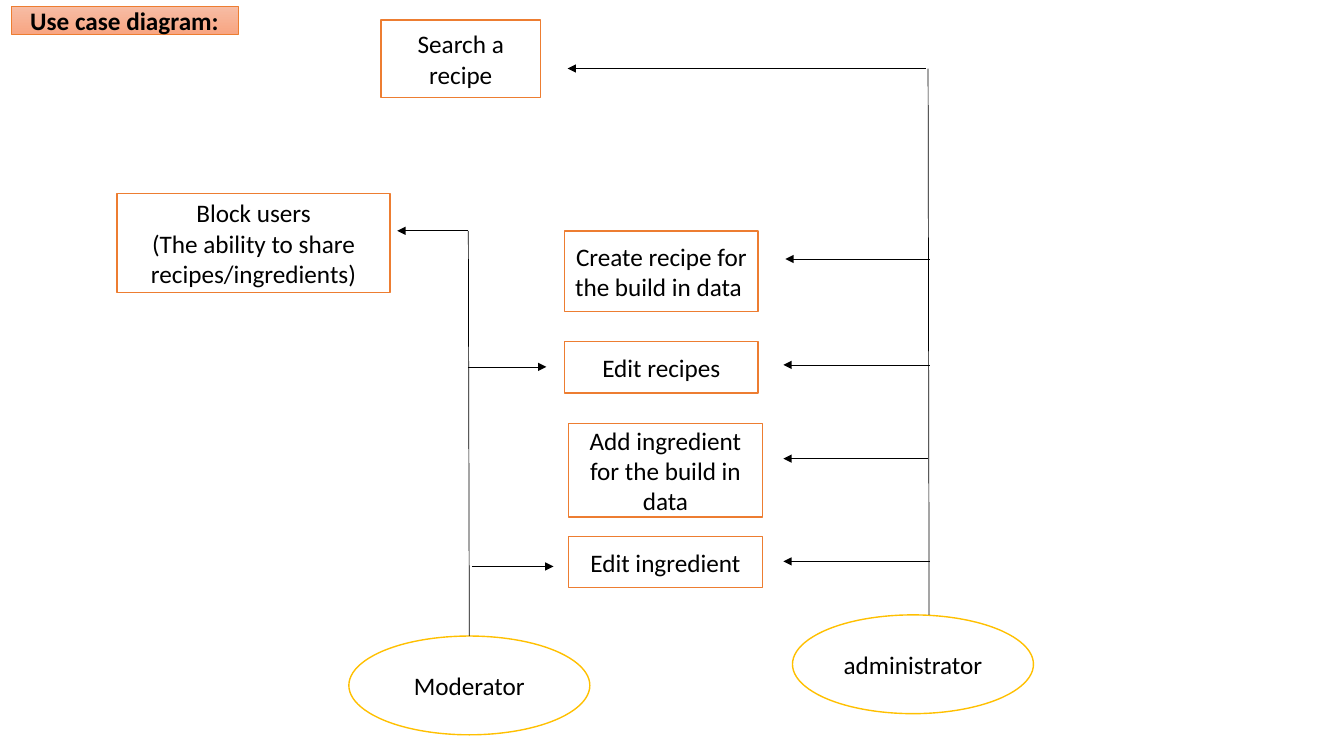
from lxml import etree
from pptx import Presentation
from pptx.dml.color import RGBColor
from pptx.enum.shapes import MSO_CONNECTOR as Line, MSO_SHAPE as Preset
from pptx.enum.text import MSO_ANCHOR as Anchor, MSO_AUTO_SIZE as AutoSize, PP_ALIGN as Align
from pptx.oxml.ns import qn
from pptx.util import Inches, Pt

BLACK = RGBColor(0x00, 0x00, 0x00)
WHITE = RGBColor(0xFF, 0xFF, 0xFF)
ORANGE = RGBColor(0xED, 0x7D, 0x31)
GOLD = RGBColor(0xFF, 0xC0, 0x00)
PEACH = RGBColor(0xF7, 0xBD, 0xA5)
SALMON = RGBColor(0xF8, 0xA5, 0x82)

FRAME_FORMAT = {"word_wrap": True, "auto_size": AutoSize.NONE,
                "vertical_anchor": Anchor.MIDDLE}
FONT_FORMAT = {"name": "Calibri", "size": Pt(18), "bold": False}


def apply_format(target, values):
    for name, value in values.items():
        setattr(target, name, value)


def write_text(shape, text, **font_changes):
    frame = shape.text_frame
    apply_format(frame, FRAME_FORMAT)
    para = frame.paragraphs[0]
    para.text = text
    para.alignment = Align.CENTER
    for span in para.runs:
        apply_format(span.font, FONT_FORMAT | font_changes)
        span.font.color.rgb = BLACK


def set_outline(shape, color, width):
    shape.line.color.rgb = color
    shape.line.width = Pt(width)


def add_node(page, preset, box, text, color):
    node = page.shapes.add_shape(preset, *map(Inches, box))
    node.shadow.inherit = False
    node.fill.solid()
    node.fill.fore_color.rgb = WHITE
    set_outline(node, color, 1)
    write_text(node, text)
    return node


def add_line(page, start, end, arrow=False):
    line = page.shapes.add_connector(Line.STRAIGHT, *map(Inches, (*start, *end)))
    set_outline(line, BLACK, 0.5)
    if arrow:
        outline = line.line._get_or_add_ln()
        etree.SubElement(outline, qn("a:tailEnd"), type="triangle")
    etree.SubElement(line._element.spPr, qn("a:effectLst"))
    return line


def add_heading(page, box):
    title = page.shapes.title
    edges = dict(zip(("left", "top", "width", "height"), map(Inches, box)))
    apply_format(title, edges)
    title.fill.gradient()
    title.fill.gradient_angle = 270
    for stop, color in zip(title.fill.gradient_stops, (PEACH, SALMON)):
        stop.color.rgb = color
    set_outline(title, ORANGE, 0.5)
    write_text(title, "Use case diagram:", bold=True)


def add_use_cases(page, box, cases):
    """Stack of use cases: each has an x shift, a y offset and a height."""
    left, top, width = box
    for text, shift, offset, height in cases:
        add_node(page, Preset.RECTANGLE,
                 (left + shift, top + offset, width, height), text, ORANGE)


def add_actor(page, box, name, trunk_top, trunk_shift, arrows):
    """Ellipse, a trunk rising from it, and arrows as (start, end, y)."""
    left, top, width, height = box
    middle = left + width / 2
    actor = add_node(page, Preset.OVAL, box, name, GOLD)
    trunk = add_line(page, (middle + trunk_shift, top),
                     (middle + trunk_shift - 0.01, trunk_top))
    if not trunk_shift:
        trunk.begin_connect(actor, 0)
    for start, end, y in arrows:
        add_line(page, (start, y), (end, y), arrow=True)


def build_use_case_page(page):
    # Heading
    add_heading(page, (0.11, 0.06, 2.25, 0.28))

    # Use cases of a single actor
    add_node(page, Preset.RECTANGLE, (3.78, 0.2, 1.58, 0.77),
             "Search a recipe", ORANGE)
    add_node(page, Preset.RECTANGLE, (1.16, 1.92, 2.71, 0.98),
             "Block users\n(The ability to share recipes/ingredients)", ORANGE)

    # Central column of use cases
    add_use_cases(page, (5.6, 2.29, 1.92), [
        ("Create recipe for the build in data ", 0, 0, 0.8),
        ("Edit recipes", 0, 1.1, 0.51),
        ("Add ingredient for the build in data", 0.04, 1.91, 0.93),
        ("Edit ingredient", 0.04, 3.03, 0.51),
    ])

    # Actors with their trunks and arrows
    add_actor(page, (3.46, 6.31, 2.39, 0.98), "Moderator", 2.29, 0, [
        (4.64, 3.94, 2.29),
        (4.64, 5.42, 3.64),
        (4.68, 5.49, 5.62),
    ])
    add_actor(page, (7.86, 6.1, 2.39, 0.98), "administrator", 0.68, 0.16, [
        (9.18, 5.63, 0.68),
        (9.22, 7.79, 2.57),
        (9.22, 7.77, 3.62),
        (9.2, 7.77, 4.55),
        (9.22, 7.77, 5.57),
    ])


def main():
    deck = Presentation()
    deck.slide_width, deck.slide_height = Inches(13.33), Inches(7.5)
    title_only = deck.slide_layouts[5]
    build_use_case_page(deck.slides.add_slide(title_only))
    deck.save("out.pptx")


if __name__ == "__main__":
    main()
